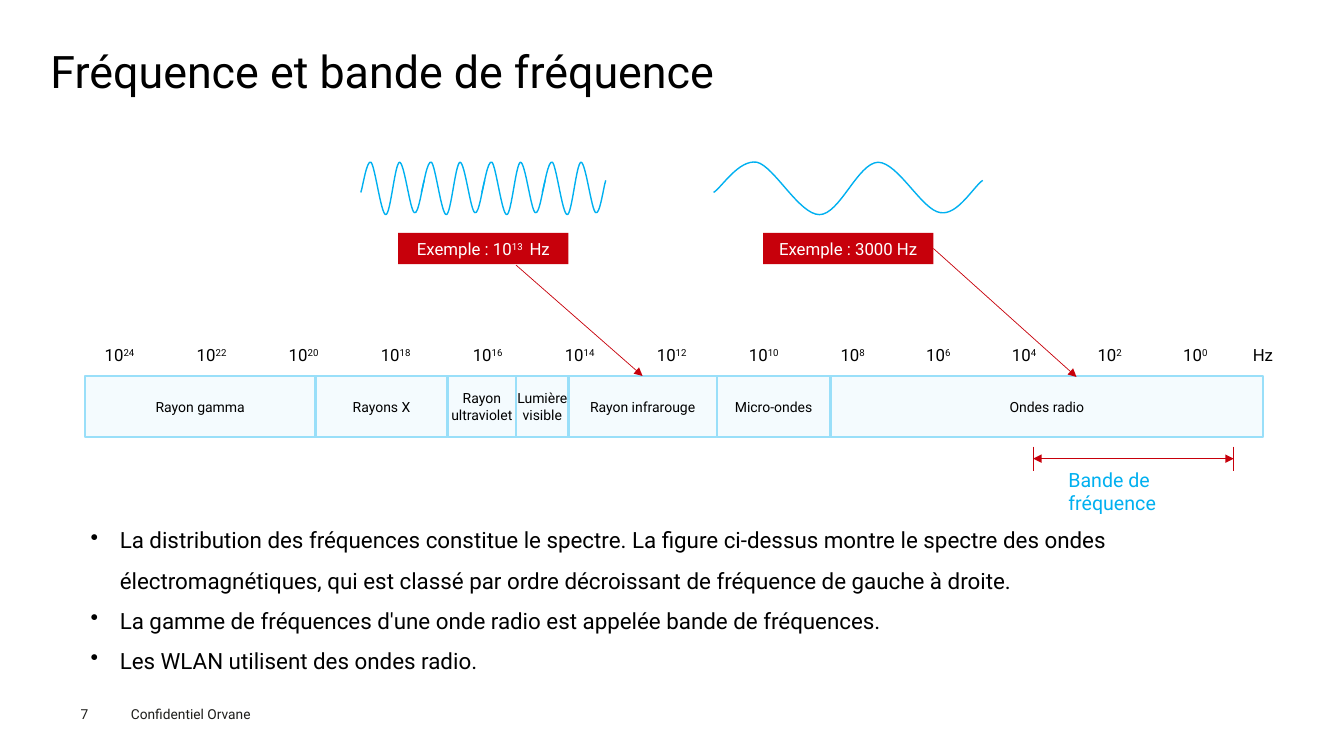
from itertools import pairwise

from lxml import etree
from pptx import Presentation
from pptx import util as u
from pptx.dml.color import RGBColor
from pptx.enum import shapes, text
from pptx.oxml import ns

PX = 9144  # 100 px to the inch
FONT = "Roboto"
RED, BLUE, BLACK = "C7000B", "00B0F0", "000000"
WAVE_WIDTH = 267
# Start point, then three control points for each curve
WAVE = [(0, 191),
        (8, 186), (25, 158), (43, 161), (60, 165), (85, 213), (105, 213),
        (125, 213), (143, 162), (163, 161), (183, 161), (207, 209), (225, 211),
        (242, 214), (258, 185), (267, 179)]
BANDS = ["Rayon gamma", "Rayons X", "Rayon ultraviolet", "Lumière visible",
         "Rayon infrarouge", "Micro-ondes", "Ondes radio"]
EDGES = [84, 313, 444, 512, 564, 711, 824, 1253]
POINTS = [
    "La distribution des fréquences constitue le spectre. La figure ci-dessus montre "
    "le spectre des ondes électromagnétiques, qui est classé par ordre décroissant "
    "de fréquence de gauche à droite.",
    "La gamme de fréquences d'une onde radio est appelée bande de fréquences.",
    "Les WLAN utilisent des ondes radio.",
]


def px(length):
    return u.Emu(round(length * PX))


def color(value):
    return RGBColor.from_string(value)


def add_bullet(para):
    props = para._p.get_or_add_pPr()
    props.set("marL", str(px(29)))
    props.set("indent", str(-px(29)))
    etree.SubElement(props, ns.qn("a:buChar")).set("char", "•")


def write(shape, content, size=12, ink=BLACK, align=text.PP_ALIGN.LEFT,
          anchor=text.MSO_ANCHOR.TOP, insets=(10, 5), wrap=True, spacing=None,
          bullets=False):
    """Write one line per paragraph; parts between ^ marks are superscript."""
    frame = shape.text_frame
    frame.word_wrap = wrap
    frame.vertical_anchor = anchor
    frame.margin_left = frame.margin_right = px(insets[0])
    frame.margin_top = frame.margin_bottom = px(insets[1])
    for number, line in enumerate(content.split("\n")):
        para = frame.add_paragraph() if number else frame.paragraphs[0]
        para.alignment = align
        if spacing:
            para.line_spacing = spacing
        if bullets:
            add_bullet(para)
        for index, part in enumerate(line.split("^")):
            if not part:
                continue
            span = para.add_run()
            span.text = part
            span.font.name = FONT
            span.font.size = u.Pt(size)
            span.font.color.rgb = color(ink)
            if index % 2:
                span.font._element.set("baseline", "30000")


def add_label(page, left, top, width, height, content, **style):
    box = page.shapes.add_textbox(px(left), px(top), px(width), px(height))
    write(box, content, **style)


def add_box(page, left, top, width, height, content, fill, outline=None, **style):
    box = page.shapes.add_shape(shapes.MSO_SHAPE.RECTANGLE,
                                px(left), px(top), px(width), px(height))
    box.shadow.inherit = False
    box.fill.solid()
    box.fill.fore_color.rgb = color(fill)
    if outline:
        box.line.color.rgb = color(outline)
        box.line.width = u.Pt(1.5)
    else:
        box.line.fill.background()
    write(box, content, align=text.PP_ALIGN.CENTER,
          anchor=text.MSO_ANCHOR.MIDDLE, **style)
    return box


def add_line(page, start, end, arrows=()):
    """Draw a thin red line; arrows names its ends: headEnd, tailEnd."""
    line = page.shapes.add_connector(shapes.MSO_CONNECTOR.STRAIGHT,
                                     *map(px, start + end))
    line.line.color.rgb = color(RED)
    line.line.width = u.Pt(0.5)
    outline = line.line._get_or_add_ln()
    for arrow in arrows:
        etree.SubElement(outline, ns.qn(f"a:{arrow}")).set("type", "triangle")
    etree.SubElement(line._element.spPr, ns.qn("a:effectLst"))
    return line


def add_wave(page, left, width):
    builder = page.shapes.build_freeform(*WAVE[0], scale=(px(width) / WAVE_WIDTH, PX))
    builder.add_line_segments(WAVE[1:], close=False)
    wave = builder.convert_to_shape(px(left), 0)
    wave.shadow.inherit = False
    wave.fill.background()
    wave.line.color.rgb = color(BLUE)
    wave.line.width = u.Pt(1)
    # Turn each three straight segments into one Bézier curve
    segments = list(wave._element.iter(ns.qn("a:lnTo")))
    for first in range(0, len(segments), 3):
        curve = etree.Element(ns.qn("a:cubicBezTo"))
        segments[first].addprevious(curve)
        for segment in segments[first:first + 3]:
            curve.append(segment[0])
            segment.getparent().remove(segment)


def main():
    deck = Presentation()
    deck.slide_width, deck.slide_height = px(1333.33), px(750)
    page = deck.slides.add_slide(deck.slide_layouts[6])

    # Title and footer
    add_label(page, 50, 49, 1235, 54, "Fréquence et bande de fréquence",
              size=32, insets=(0, 0), spacing=0.9)
    add_label(page, 120, 695, 160, 27, "Confidentiel Orvane", size=9.8, ink="1D1D1B")
    add_label(page, 80, 700, 55, 16, "7", size=9.8, ink="1D1D1B", insets=(0, 0))

    # Waves: four short periods joined, then one long
    for period in range(4):
        add_wave(page, 358 + 60 * period, 63)
    add_wave(page, 708, WAVE_WIDTH)

    # Spectrum
    bands = [add_box(page, left, 373, right - left, 61, name, "F4FBFE", "99DFF9",
                     size=10, insets=(0, 0))
             for name, (left, right) in zip(BANDS, pairwise(EDGES))]
    for index, power in enumerate(range(24, 8, -2)):
        add_label(page, 94 + 91.3 * index, 337, 52, 30, f"10^{power}", wrap=False)
    for index, power in enumerate(range(8, -2, -2)):
        add_label(page, 824 + 85 * index, 337, 45, 30, f"10^{power}", wrap=False)
    add_label(page, 1233, 337, 41, 30, "Hz", wrap=False)

    # Examples
    example = {"fill": RED, "ink": "FFFFFF", "insets": (4, 4)}
    add_box(page, 395, 231, 169, 31, "Exemple : 10^13 ^ Hz", **example)
    radio_example = add_box(page, 757, 231, 169, 31, "Exemple : 3000 Hz", **example)
    infrared_arrow = add_line(page, (512, 263), (638, 373), ["tailEnd"])
    infrared_arrow.end_connect(bands[BANDS.index("Rayon infrarouge")], 0)
    radio_arrow = add_line(page, (926, 247), (1068, 374), ["tailEnd"])
    radio_arrow.begin_connect(radio_example, 3)

    # Frequency band
    for x in (1025, 1224):
        add_line(page, (x, 443), (x, 467))
    add_line(page, (1025, 455), (1224, 455), ["headEnd", "tailEnd"])
    add_label(page, 1050, 459, 161, 34, "Bande de fréquence", size=14, ink=BLUE)

    # Explanation
    add_label(page, 80, 504, 1173, 172, "\n".join(POINTS),
              size=16, spacing=1.5, bullets=True)

    deck.save("out.pptx")


if __name__ == "__main__":
    main()
